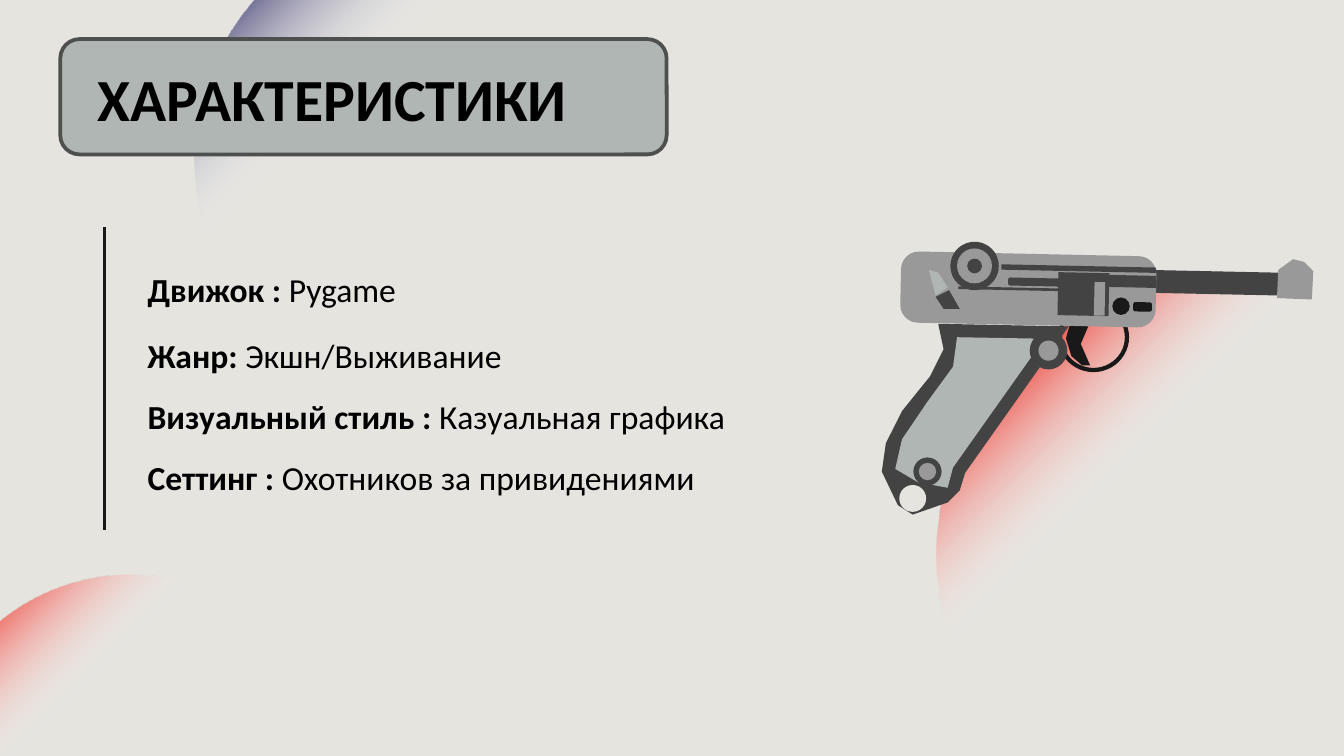
from lxml.etree import SubElement
from pptx import Presentation
from pptx.dml.color import RGBColor
from pptx.enum.shapes import MSO_CONNECTOR, MSO_SHAPE
from pptx.enum.text import MSO_AUTO_SIZE
from pptx.oxml import parse_xml
from pptx.oxml.ns import nsdecls, qn
from pptx.util import Cm, Pt

COLOURS = {
    "background": "E5E4DF", "violet": "262261", "red": "EE4036", "clear": "FFFFFF",
    "black": "191919", "dark": "434343", "steel": "999999", "panel": "B0B6B4",
    "border": "4D504F", "text": "000000",
}

PISTOL_UNITS = 322
PISTOL_TILT = 1.2
TRIGGER = [(141, 61), (138, 72), (142, 85), (150, 92), (156, 92), (149, 76), (155, 62)]
SIGHT = [(307, 13), (296, 21), (295, 42), (321, 43), (322, 22), (315, 15)]
LEVER_TOP = [(36, 21), (43, 23), (50, 34), (41, 40)]
LEVER_BASE = [(51, 36), (41, 41), (47, 50), (59, 50)]
GRIP = [(43, 61), (47, 80), (37, 100), (16, 126), (4, 150), (1, 171),
        (13, 196), (24, 203), (50, 194), (59, 185), (63, 172), (140, 63)]
GRIP_PANEL = [(57, 71), (54, 93), (35, 119), (16, 147), (11, 169),
              (28, 179), (50, 183), (54, 168), (112, 86), (114, 72)]
BARS = [
    ("dark", MSO_SHAPE.RECTANGLE, 197, 22, 101, 17),
    ("steel", MSO_SHAPE.ROUNDED_RECTANGLE, 15, 9, 190, 53),
    ("dark", MSO_SHAPE.RECTANGLE, 90, 18, 115, 4),
    ("dark", MSO_SHAPE.ROUNDED_RECTANGLE, 95, 27, 40, 6),
    ("dark", MSO_SHAPE.RECTANGLE, 58, 34, 74, 2),
    ("dark", MSO_SHAPE.RECTANGLE, 132, 23, 38, 32),
    ("steel", MSO_SHAPE.RECTANGLE, 159, 30, 8, 25),
    ("dark", MSO_SHAPE.RECTANGLE, 170, 25, 35, 9),
    ("black", MSO_SHAPE.ROUNDED_RECTANGLE, 188, 45, 14, 7),
]
DISCS = [
    ((179, 48), [("black", 13)]),
    ((24, 191), [("background", 20)]),
    ((125, 81), [("dark", 28), ("steel", 15)]),
    ((35, 171), [("dark", 21), ("steel", 13)]),
    ((70, 18), [("dark", 36), ("steel", 26), ("dark", 11)]),
]

DETAILS = [
    [("Движок : ", True, 18), ("Pygame", False, 18)],
    [("Жанр: ", True, 18), ("Экшн/Выживание", False, 18), (" ", False, 20)],
    [("Визуальный стиль : ", True, 18), ("Казуальная графика", False, 18)],
    [("Сеттинг : ", True, 18), ("Охотников за привидениями ", False, 18)],
]


def colour(name):
    return RGBColor.from_string(COLOURS[name])


def paint(shape, fill, border=None):
    shape.shadow.inherit = False
    shape.fill.solid()
    shape.fill.fore_color.rgb = colour(fill)
    if border:
        shape.line.color.rgb = colour(border)
        shape.line.width = Pt(2)
    else:
        shape.line.fill.background()


def add_glow(slide, left, top, size, rotation, name, solid_until):
    shape = slide.shapes.add_shape(MSO_SHAPE.OVAL, left, top, size, size)
    shape.rotation = rotation
    shape.shadow.inherit = False
    shape.line.fill.background()
    shape.fill.background()
    gradient = parse_xml(
        f'<a:gradFill {nsdecls("a")} rotWithShape="0"><a:gsLst/><a:path path="circle">'
        '<a:fillToRect r="100000" b="100000"/></a:path></a:gradFill>')
    for position, stop_name in ((0, name), (solid_until, name), (38, "clear"), (100, "clear")):
        stop = SubElement(gradient[0], qn("a:gs"), pos=str(position * 1000))
        value = SubElement(stop, qn("a:srgbClr"), val=COLOURS[stop_name])
        if stop_name == "clear":
            SubElement(value, qn("a:alpha"), val="0")
    properties = shape.element.spPr
    properties.replace(properties.find(qn("a:noFill")), gradient)


def add_pistol(slide, left, top, width):
    unit = width / PISTOL_UNITS
    shapes = slide.shapes.add_group_shape().shapes

    def add_preset(fill, kind, x, y, part_width, part_height):
        shape = shapes.add_shape(kind, left + round(x * unit), top + round(y * unit),
                                 round(part_width * unit), round(part_height * unit))
        paint(shape, fill)
        return shape

    def add_outline(fill, points):
        builder = shapes.build_freeform(*points[0], scale=unit)
        builder.add_line_segments(points[1:], close=True)
        paint(builder.convert_to_shape(left, top), fill)

    add_outline("black", TRIGGER)
    guard = add_preset("black", MSO_SHAPE.DONUT, 132, 45, 53, 52)
    guard.adjustments[0] = 0.06
    for fill, kind, *box in BARS:
        bar = add_preset(fill, kind, *box)
        bar.rotation = PISTOL_TILT
        if kind == MSO_SHAPE.ROUNDED_RECTANGLE:
            bar.adjustments[0] = 0.25
    for fill, points in (("steel", SIGHT), ("panel", LEVER_TOP), ("dark", LEVER_BASE),
                         ("dark", GRIP), ("panel", GRIP_PANEL)):
        add_outline(fill, points)
    for (x, y), rings in DISCS:
        for fill, size in rings:
            add_preset(fill, MSO_SHAPE.OVAL, x - size / 2, y - size / 2, size, size)


def add_text(slide, left, top, width, height, lines, line_spacing):
    frame = slide.shapes.add_textbox(left, top, width, height).text_frame
    frame.word_wrap = True
    frame.auto_size = MSO_AUTO_SIZE.SHAPE_TO_FIT_TEXT
    for index, line in enumerate(lines):
        paragraph = frame.add_paragraph() if index else frame.paragraphs[0]
        paragraph.line_spacing = line_spacing
        for text, bold, size in line:
            run = paragraph.add_run()
            run.text = text
            for attribute, value in {"name": "Calibri", "size": Pt(size), "bold": bold}.items():
                setattr(run.font, attribute, value)
            run.font.color.rgb = colour("text")


def add_rule(slide, left, top, height):
    rule = slide.shapes.add_connector(MSO_CONNECTOR.STRAIGHT, left, top, left, top + height)
    rule.line.color.rgb = colour("black")
    rule.line.width = Pt(1.5)
    SubElement(rule.element.spPr, qn("a:effectLst"))


def add_title(slide, left, top, width, height):
    plate = slide.shapes.add_shape(MSO_SHAPE.ROUNDED_RECTANGLE, left, top, width, height)
    paint(plate, "panel", "border")
    add_text(slide, left + Cm(0.46), top + Cm(0.3), width - Cm(0.87), height - Cm(0.55),
             [[("ХАРАКТЕРИСТИКИ", True, 32)]], 1.0)


def main():
    presentation = Presentation()
    presentation.slide_width, presentation.slide_height = Cm(25.4), Cm(14.29)
    slide = presentation.slides.add_slide(presentation.slide_layouts[6])
    slide.background.fill.solid()
    slide.background.fill.fore_color.rgb = colour("background")
    add_glow(slide, Cm(3.68), Cm(-1.55), Cm(9.12), 69.2, "violet", 18)
    add_glow(slide, Cm(-1.42), Cm(10.87), Cm(7.77), 58.5, "red", 21)
    add_rule(slide, Cm(1.98), Cm(4.29), Cm(5.72))
    add_glow(slide, Cm(17.7), Cm(5.33), Cm(10.29), 342.7, "red", 21)
    add_pistol(slide, Cm(16.64), Cm(4.57), Cm(8.18))
    add_text(slide, Cm(2.54), Cm(4.57), Cm(14.1), Cm(4.88), DETAILS, 1.5)
    add_title(slide, Cm(1.14), Cm(0.74), Cm(11.46), Cm(2.18))
    presentation.save("out.pptx")


if __name__ == "__main__":
    main()
